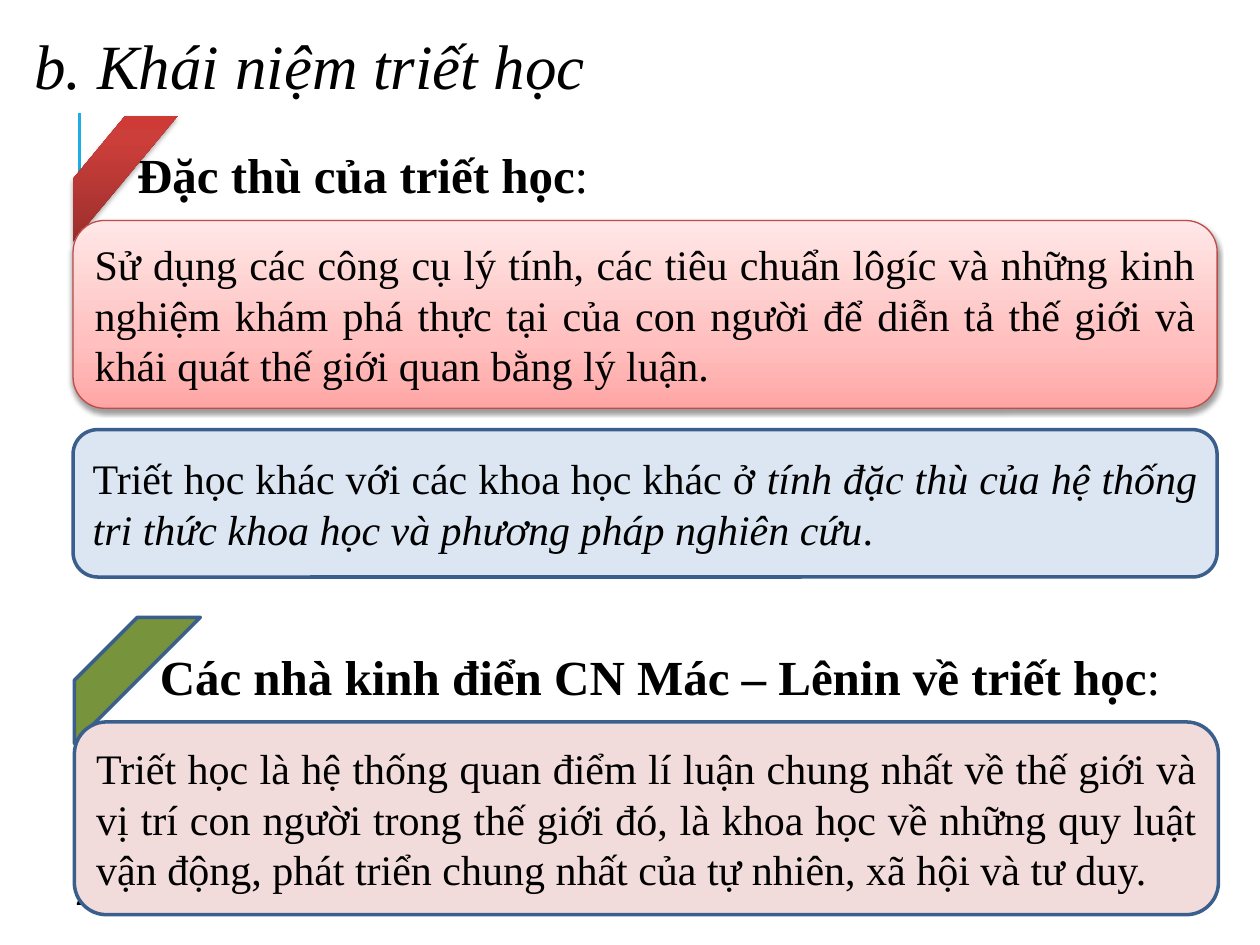
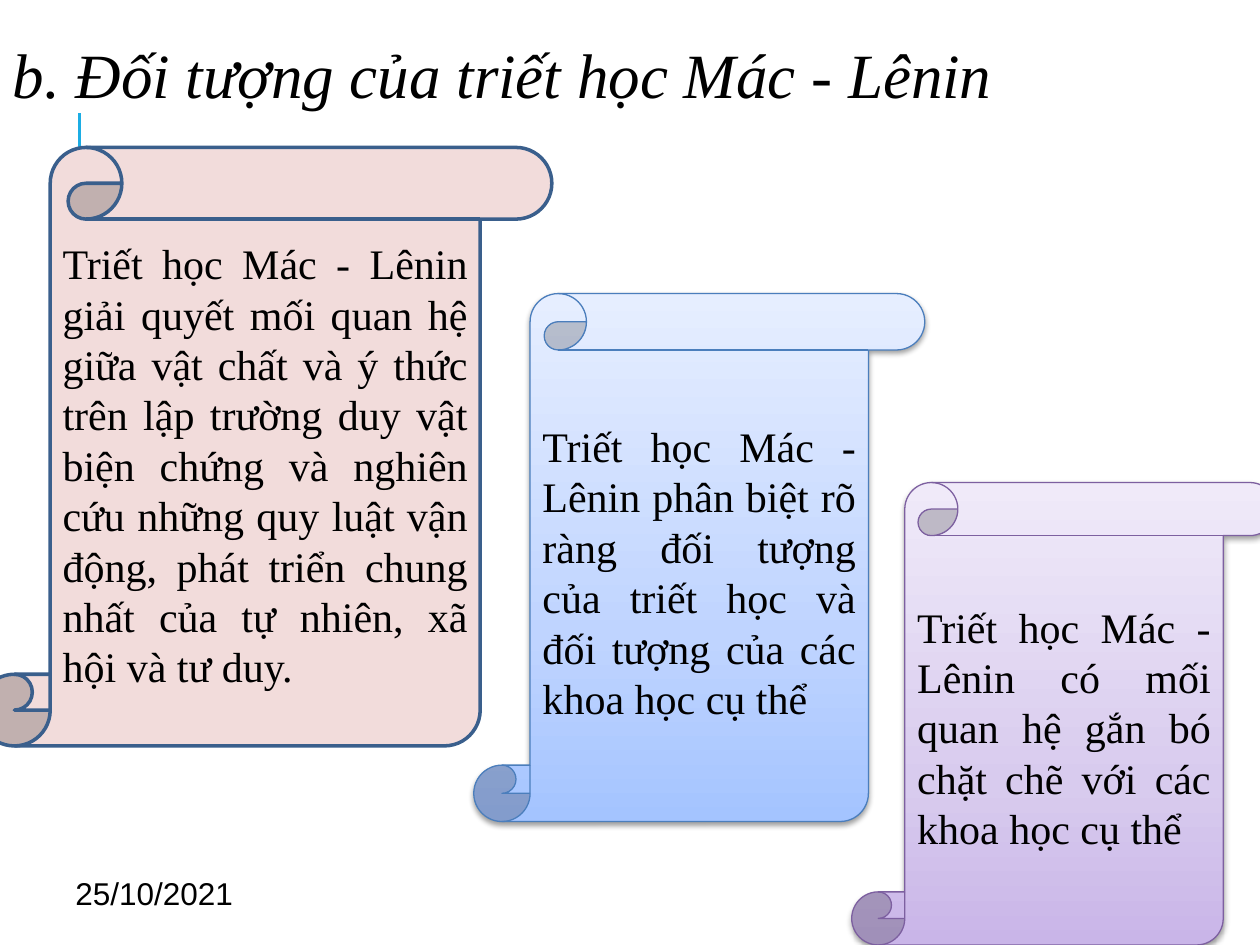
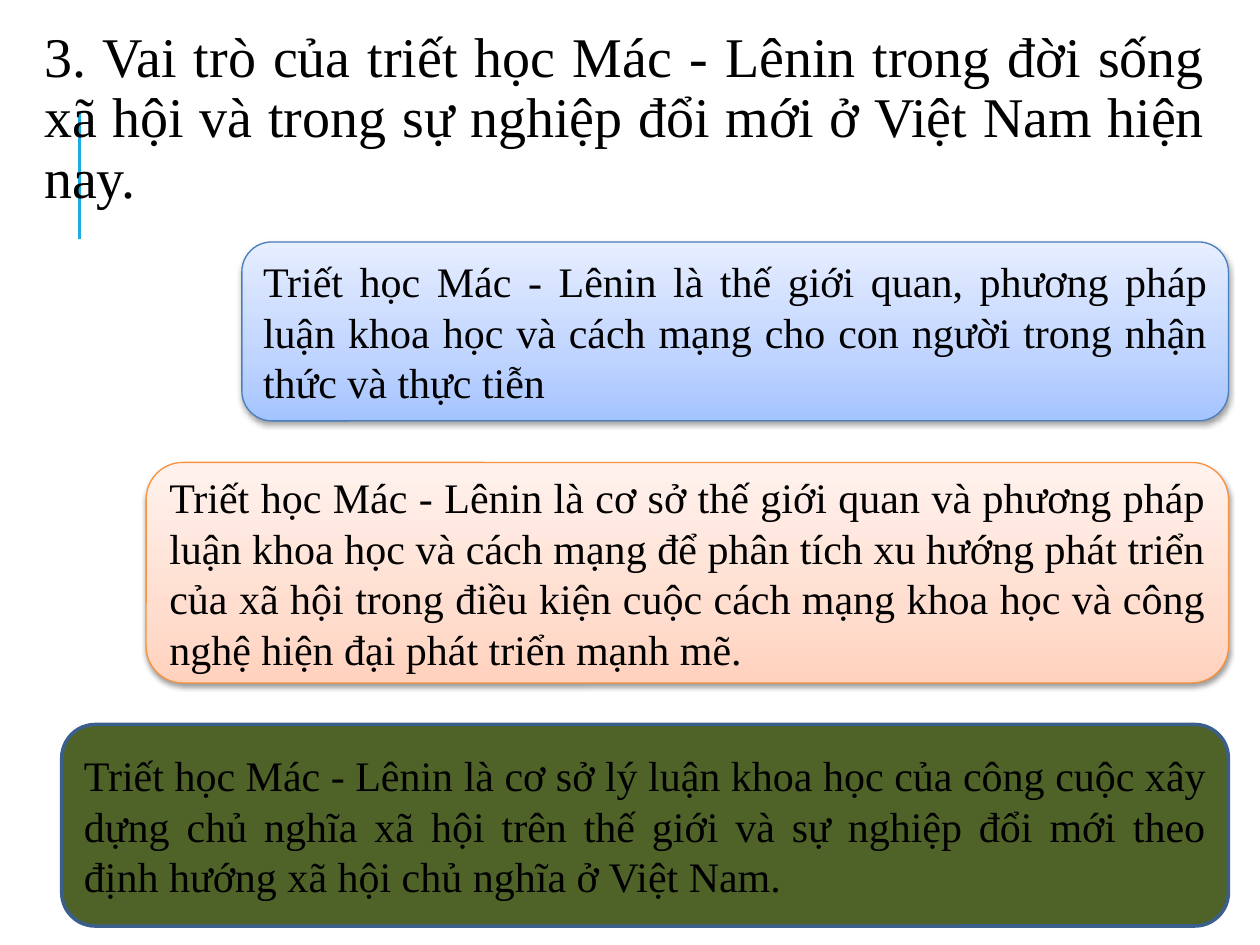
from dataclasses import dataclass

import pptx
import pptx.dml.color
import pptx.enum.shapes
import pptx.enum.text
import pptx.oxml
import pptx.oxml.ns
import pptx.util
from lxml import etree

Inches = pptx.util.Inches
Pt = pptx.util.Pt
RGB = pptx.dml.color.RGBColor.from_string
qn = pptx.oxml.ns.qn
SHAPE = pptx.enum.shapes.MSO_SHAPE
ALIGN = pptx.enum.text.PP_ALIGN
MIDDLE = pptx.enum.text.MSO_ANCHOR.MIDDLE


@dataclass(frozen=True)
class Look:
    """Fill (one colour, or gradient stops from bottom to top) and outline."""
    fill: object
    line: str = "3A5F8C"
    width: float = 2
    shadow: int = 0  # opacity in percent


def soft(line, *colours):
    return Look(tuple(zip((0, 35, 100), colours)), line, 0.75, 38)


class Theme:
    serif, sans = "Times New Roman", "Arial"
    text, rule = "000000", "1CADE4"
    title, long_title, heading, body, date = 36, 32, 28, 24, 18
    red = soft("BF4C48", "FFA6A5", "FFC0BF", "FFE7E7")
    blue = soft("4B7EBC", "A4C4FF", "BFD4FF", "E6EEFF")
    purple = soft("7D60A0", "C9B5E8", "D8CBEE", "F0EAF9")
    orange = soft("F69240", "FFD2BD", "FFDED0", "FFF2ED")
    pale_blue, pink = Look("DCE6F2"), Look("F2DCDB")
    green, olive = Look("77933C"), Look("4F6228")
    red_stripe = Look(((0, "9C2F2D"), (80, "CB3E3A"), (100, "CE3B37")), None, 0, 35)


# Shared helpers
def inches(box):
    return [Inches(v) for v in box]


def write(tf, runs, size, font=Theme.serif, align=ALIGN.LEFT, **style):
    """Fill one paragraph; runs is a string or (text, run style) pairs."""
    p = tf.paragraphs[0]
    p.alignment = align
    p.font.name, p.font.size = font, Pt(size)
    p.font.color.rgb = RGB(Theme.text)
    for name, value in style.items():
        setattr(p.font, name, value)
    for text, run_style in [(runs, {})] if isinstance(runs, str) else runs:
        r = p.add_run()
        r.text = text
        for name, value in run_style.items():
            setattr(r.font, name, value)
    return p


def paint(sp, look):
    sp.shadow.inherit = False
    spPr = sp.element.spPr
    if isinstance(look.fill, str):
        sp.fill.solid()
        sp.fill.fore_color.rgb = RGB(look.fill)
    else:
        sp.fill.gradient()
        sp.fill.gradient_angle = 90
        stops = spPr.find(".//" + qn("a:gsLst"))
        for stop in list(stops):
            stops.remove(stop)
        for pos, colour in look.fill:
            gs = etree.SubElement(stops, qn("a:gs"), pos=str(pos * 1000))
            etree.SubElement(gs, qn("a:srgbClr"), val=colour)
    if look.line:
        sp.line.color.rgb = RGB(look.line)
        sp.line.width = Pt(look.width)
    else:
        sp.line.fill.background()
    if look.shadow:
        shadow = etree.SubElement(
            spPr.find(qn("a:effectLst")), qn("a:outerShdw"), blurRad=str(Pt(3.1)),
            dist=str(Pt(1.6)), dir="5400000", rotWithShape="0")
        colour = etree.SubElement(shadow, qn("a:srgbClr"), val="000000")
        etree.SubElement(colour, qn("a:alpha"), val=str(look.shadow * 1000))


def panel(s, kind, box, look, runs=None):
    sp = s.shapes.add_shape(kind, *inches(box))
    paint(sp, look)
    if runs:
        tf = sp.text_frame
        tf.word_wrap, tf.vertical_anchor = True, MIDDLE
        write(tf, runs, Theme.body, align=ALIGN.JUSTIFY)


def add_rule(s):
    """Accent line, moved to the layout so that every slide shows it."""
    x = Inches(0.63)
    line = s.shapes.add_connector(
        pptx.enum.shapes.MSO_CONNECTOR.STRAIGHT, x, Inches(1.9), x, Inches(0.9))
    line.line.color.rgb = RGB(Theme.rule)
    line.line.width = Pt(1.5)
    etree.SubElement(line.element.spPr, qn("a:effectLst"))
    s.slide_layout.placeholders[0].element.addprevious(line.element)


def base_slide(prs, title, box, size=Theme.title, align=ALIGN.LEFT, italic=True):
    s = prs.slides.add_slide(prs.slide_layouts[5])
    sp = s.shapes.title
    sp.left, sp.top, sp.width, sp.height = inches(box)
    tf = sp.text_frame
    tf.auto_size = pptx.enum.text.MSO_AUTO_SIZE.NONE
    tf.word_wrap, tf.vertical_anchor = True, MIDDLE
    write(tf, title, size, align=align, italic=italic).line_spacing = 0.9
    # Date
    tf = s.shapes.add_textbox(*inches((0.5, 6.83, 2.33, 0.52))).text_frame
    tf.word_wrap, tf.vertical_anchor = True, MIDDLE
    write(tf, "25/10/2021", Theme.date, Theme.sans)
    return s


# Slide 1: headed sections
def section(s, box, heading, heading_width, stripe, stripe_look, look, text):
    """Heading with a corner stripe above a card that fills the box."""
    x, y, w, h = box
    drop = 0.83
    tf = s.shapes.add_textbox(
        *inches((x + stripe - 0.42, y + 0.18, heading_width, 0.57))).text_frame
    tf.word_wrap = False
    write(tf, [(heading, {"bold": True}), (":", {})], Theme.heading)
    panel(s, SHAPE.DIAGONAL_STRIPE, (x, y, stripe, 1), stripe_look)
    panel(s, SHAPE.ROUNDED_RECTANGLE, (x, y + drop, w, h - drop), look, text)


def concept_slide(prs):
    s = base_slide(prs, "b. Khái niệm triết học", (0.17, 0.17, 9.75, 0.75))
    add_rule(s)
    section(s, (0.58, 0.92, 9.08, 2.32), "Đặc thù của triết học", 3.92,
            0.83, Theme.red_stripe, Theme.red,
            "Sử dụng các công cụ lý tính, các tiêu chuẩn lôgíc và những kinh nghiệm "
            "khám phá thực tại của con người để diễn tả thế giới và khái quát thế "
            "giới quan bằng lý luận.")
    panel(s, SHAPE.ROUNDED_RECTANGLE, (0.58, 3.41, 9.08, 1.17), Theme.pale_blue, [
        ("Triết học khác với các khoa học khác ở ", {}),
        ("tính đặc thù của hệ thống tri thức khoa học và phương pháp nghiên cứu",
         {"italic": True}),
        (".", {})])
    section(s, (0.59, 4.9, 9.08, 2.36),
            "Các nhà kinh điển CN Mác – Lênin về triết học", 8.34,
            1, Theme.green, Theme.pink,
            "Triết học là hệ thống quan điểm lí luận chung nhất về thế giới và vị trí "
            "con người trong thế giới đó, là khoa học về những quy luật vận động, phát "
            "triển chung nhất của tự nhiên, xã hội và tư duy.")


# Slide 2: descending scrolls
def subject_slide(prs):
    s = base_slide(prs, "b. Đối tượng của triết học Mác - Lênin", (0, 0.08, 10, 1.08))
    scrolls = [
        ((-0.17, 1.17, 4.55, 4.75), Theme.pink,
         "giải quyết mối quan hệ giữa vật chất và ý thức trên lập trường duy vật "
         "biện chứng và nghiên cứu những quy luật vận động, phát triển chung nhất "
         "của tự nhiên, xã hội và tư duy."),
        ((3.76, 2.33, 3.58, 4.19), Theme.blue,
         "phân biệt rõ ràng đối tượng của triết học và đối tượng của các khoa học "
         "cụ thể"),
        ((6.76, 3.83, 3.37, 3.67), Theme.purple,
         "có mối quan hệ gắn bó chặt chẽ với các khoa học cụ thể"),
    ]
    for box, look, text in scrolls:
        panel(s, SHAPE.VERTICAL_SCROLL, box, look, "Triết học Mác - Lênin " + text)


# Slide 3: widening steps with a common right edge
def role_slide(prs):
    s = base_slide(
        prs, "3. Vai trò của triết học Mác - Lênin trong đời sống xã hội và trong "
        "sự nghiệp đổi mới ở Việt Nam hiện nay.", (0.25, 0.41, 9.42, 1.08),
        Theme.long_title, ALIGN.JUSTIFY, italic=False)
    steps = [
        (1.92, 1.42, Theme.blue,
         "thế giới quan, phương pháp luận khoa học và cách mạng cho con người trong "
         "nhận thức và thực tiễn"),
        (1.16, 1.75, Theme.orange,
         "cơ sở thế giới quan và phương pháp luận khoa học và cách mạng để phân tích "
         "xu hướng phát triển của xã hội trong điều kiện cuộc cách mạng khoa học và "
         "công nghệ hiện đại phát triển mạnh mẽ."),
        (0.49, 1.6, Theme.olive,
         "cơ sở lý luận khoa học của công cuộc xây dựng chủ nghĩa xã hội trên thế "
         "giới và sự nghiệp đổi mới theo định hướng xã hội chủ nghĩa ở Việt Nam."),
    ]
    right, top, gap = 9.75, 1.92, 0.33
    for left, height, look, text in steps:
        panel(s, SHAPE.FLOWCHART_ALTERNATE_PROCESS, (left, top, right - left, height),
              look, "Triết học Mác - Lênin là " + text)
        top += height + gap


def main():
    prs = pptx.Presentation()
    prs.slide_width, prs.slide_height = Inches(10), Inches(7.5)
    concept_slide(prs)
    subject_slide(prs)
    role_slide(prs)
    prs.save("out.pptx")


if __name__ == "__main__":
    main()
